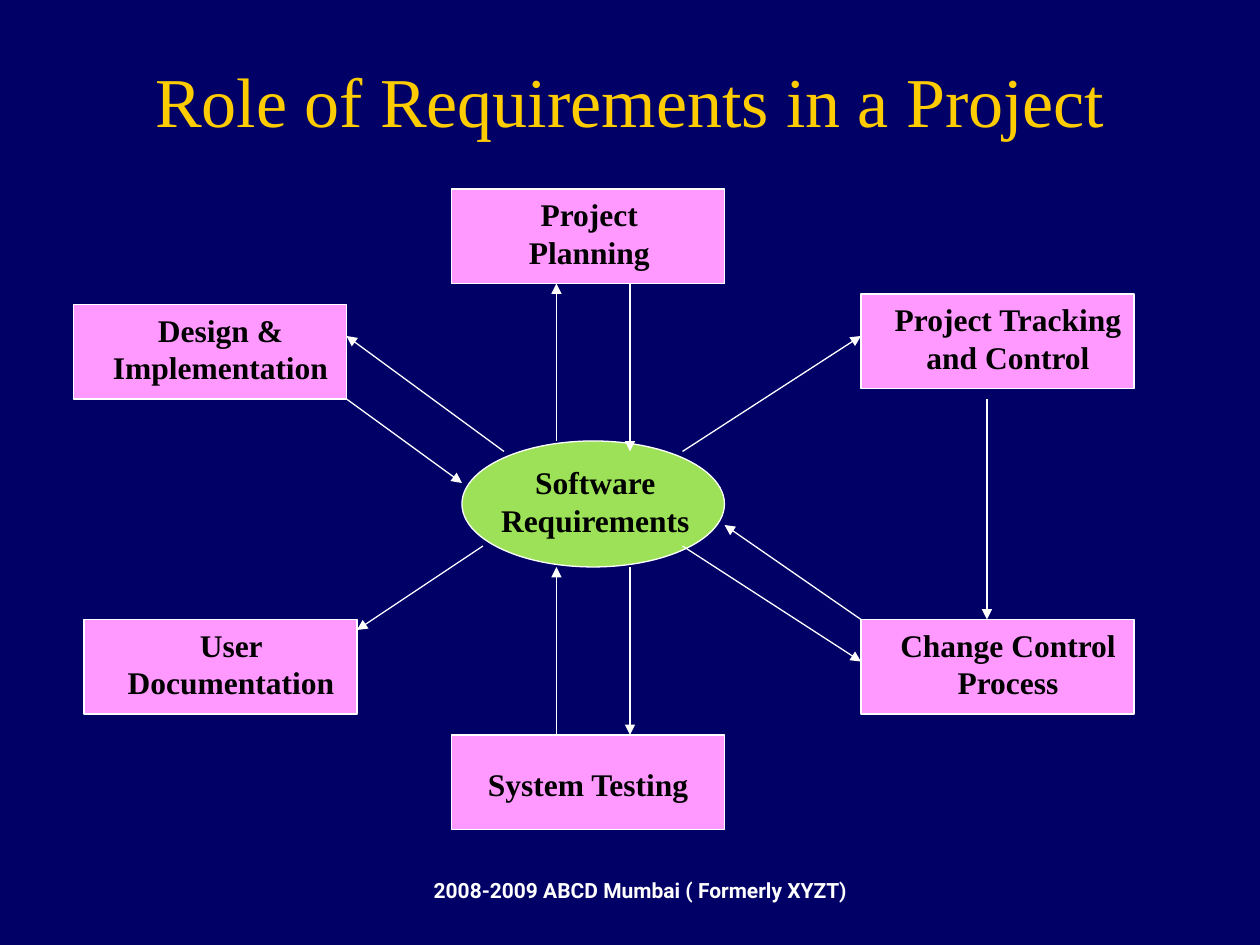
import pptx
import pptx.dml.color
import pptx.enum.shapes
import pptx.enum.text
import pptx.oxml
import pptx.oxml.ns
import pptx.util

SHAPE = pptx.enum.shapes.MSO_SHAPE
ALIGN = pptx.enum.text.PP_ALIGN
ANCHOR = pptx.enum.text.MSO_ANCHOR
SCALE = 9525
WHITE = "FFFFFF"
PINK = "FF99FF"
LABEL = {"name": "Times New Roman", "size": pptx.util.Pt(18), "bold": True}
TITLE = {"name": "Times New Roman", "size": pptx.util.Pt(40), "bold": False}
FOOTER = {"name": "Roboto", "size": pptx.util.Pt(12), "bold": True}


def px(*sizes):
    return [pptx.util.Emu(size * SCALE) for size in sizes]


def color(code):
    return pptx.dml.color.RGBColor.from_string(code)


class Board:
    """Draws styled boxes, labels and arrows on one slide."""

    def __init__(self, deck, back):
        self.slide = deck.slides.add_slide(deck.slide_layouts[6])
        self.shapes = self.slide.shapes
        fill = self.slide.background.fill
        fill.solid()
        fill.fore_color.rgb = color(back)

    def stroke(self, line):
        line.color.rgb = color(WHITE)
        line.width = pptx.util.Pt(0.75)

    def box(self, kind, place, fill):
        shape = self.shapes.add_shape(kind, *px(*place))
        shape.shadow.inherit = False
        shape.fill.solid()
        shape.fill.fore_color.rgb = color(fill)
        self.stroke(shape.line)

    def label(self, text, place, style=LABEL, ink="000000",
              align=ALIGN.CENTER, anchor=ANCHOR.TOP, wrap=True):
        frame = self.shapes.add_textbox(*px(*place)).text_frame
        frame.text = text
        frame.word_wrap = wrap
        frame.vertical_anchor = anchor
        for para in frame.paragraphs:
            para.alignment = align
            font = para.runs[0].font
            for key, value in style.items():
                setattr(font, key, value)
            font.color.rgb = color(ink)

    def arrow(self, start, end):
        link = self.shapes.add_connector(
            pptx.enum.shapes.MSO_CONNECTOR.STRAIGHT, *px(*start, *end))
        self.stroke(link.line)
        tip = pptx.oxml.parse_xml(
            f'<a:tailEnd {pptx.oxml.ns.nsdecls("a")} type="triangle"/>')
        link.line._get_or_add_ln().append(tip)
        link._element.spPr.append(pptx.oxml.parse_xml(
            f'<a:effectLst {pptx.oxml.ns.nsdecls("a")}/>'))


def main():
    deck = pptx.Presentation()
    deck.slide_width, deck.slide_height = px(960, 720)
    board = Board(deck, "000066")

    board.label("2008-2009 ABCD Mumbai ( Formerly XYZT)", (321, 664, 352, 29),
                FOOTER, WHITE, ALIGN.LEFT, wrap=False)
    board.label("Role of Requirements in a Project", (72, 39, 816, 74),
                TITLE, "FFCC00", anchor=ANCHOR.MIDDLE)
    board.box(SHAPE.OVAL, (352, 336, 200, 96), "9CE157")
    board.label("Software\nRequirements", (372, 348, 163, 67), wrap=False)

    steps = [
        ("Project\nPlanning", (344, 144), (386, 144, 126, 67)),
        ("Project Tracking and Control", (656, 224), (656, 224, 224, 67)),
        ("Change Control Process", (656, 472), (656, 472, 224, 67)),
        ("System Testing", (344, 560), (336, 578, 224, 38)),
        ("User Documentation", (64, 472), (64, 472, 224, 67)),
        ("Design &\nImplementation", (56, 232), (56, 232, 224, 67)),
    ]
    for text, corner, place in steps:
        board.box(SHAPE.RECTANGLE, (*corner, 208, 72), PINK)
        board.label(text, place)

    flows = [
        ((424, 336), (424, 216)),
        ((480, 216), (480, 344)),
        ((520, 344), (656, 256)),
        ((752, 304), (752, 472)),
        ((520, 416), (656, 504)),
        ((656, 472), (552, 400)),
        ((480, 432), (480, 560)),
        ((424, 560), (424, 432)),
        ((368, 416), (272, 480)),
        ((384, 344), (264, 256)),
        ((264, 304), (352, 368)),
    ]
    for start, end in flows:
        board.arrow(start, end)

    deck.save("out.pptx")


if __name__ == "__main__":
    main()
